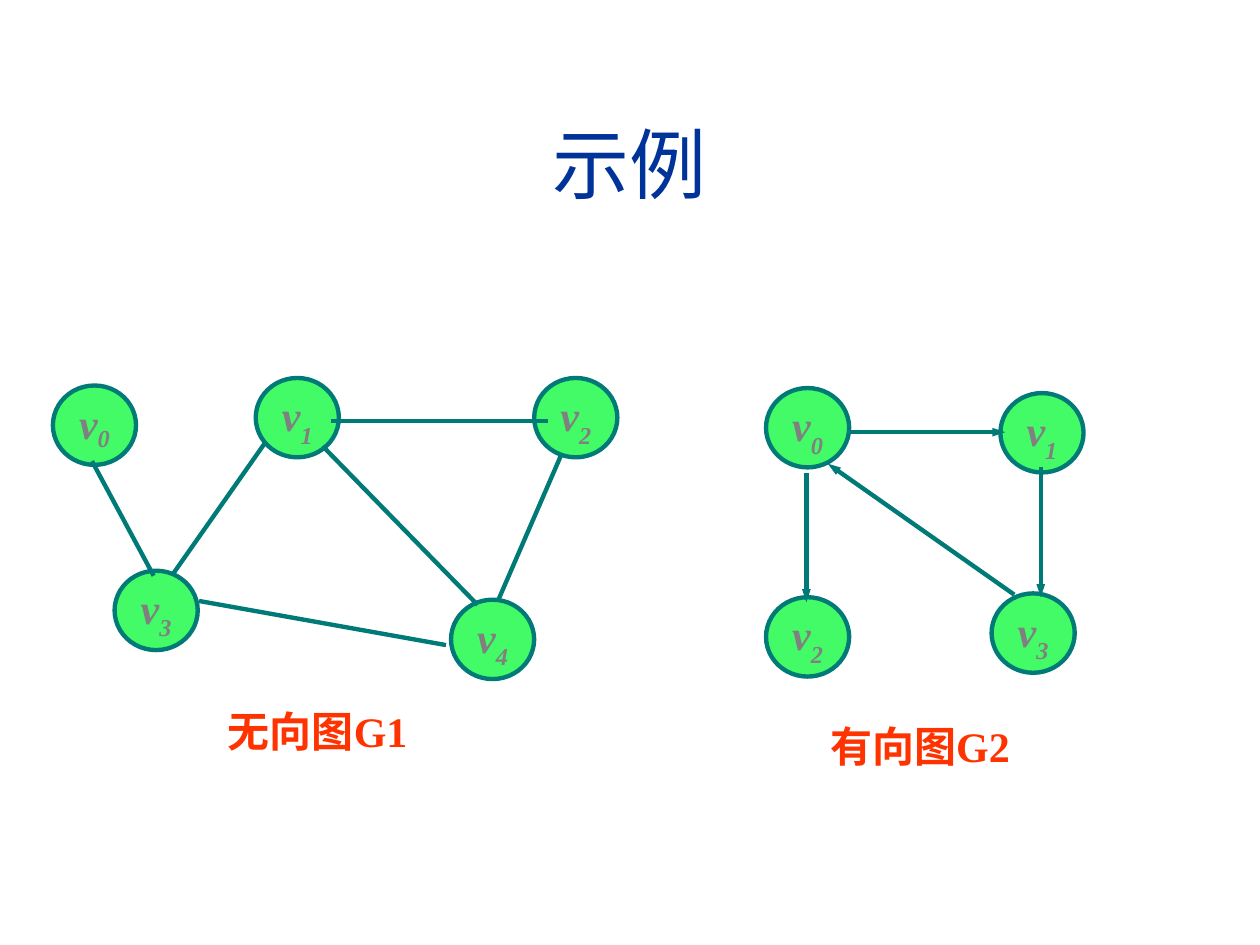
from lxml import etree
from pptx import Presentation
from pptx.dml.color import RGBColor
from pptx.enum import shapes, text
from pptx.oxml import ns
from pptx.util import Inches, Pt

NAVY = RGBColor(0x00, 0x33, 0x99)
GREEN = RGBColor(0x43, 0xFB, 0x66)
TEAL = RGBColor(0x00, 0x7A, 0x77)
GRAY = RGBColor(0x80, 0x80, 0x80)
RED = RGBColor(0xFF, 0x33, 0x00)
NODE_W, NODE_H = 0.66, 0.63


def add_run(p, content, size, color, font="Times New Roman", bold=True, italic=False):
    """Add one formatted run to a paragraph and return it."""
    r = p.add_run()
    r.text = content
    f = r.font
    f.size, f.name, f.bold, f.italic = Pt(size), font, bold, italic
    f.color.rgb = color
    return r


def add_title(s, content, x, y, w, h):
    """Place and format the title placeholder."""
    sp = s.shapes.title
    sp.left, sp.top, sp.width, sp.height = map(Inches, (x, y, w, h))
    tf = sp.text_frame
    tf.vertical_anchor = text.MSO_ANCHOR.MIDDLE
    p = tf.paragraphs[0]
    p.alignment = text.PP_ALIGN.CENTER
    add_run(p, content, 44, NAVY, "Arial", bold=False)


def add_node(grp, index, x, y, drop):
    """Draw a vertex circle labelled v with a subscript index."""
    sp = grp.shapes.add_shape(shapes.MSO_SHAPE.OVAL, Inches(x), Inches(y),
                              Inches(NODE_W), Inches(NODE_H))
    sp.shadow.inherit = False
    sp.fill.solid()
    sp.fill.fore_color.rgb = GREEN
    sp.line.color.rgb = TEAL
    sp.line.width = Pt(2.5)
    tf = sp.text_frame
    tf.margin_left = tf.margin_top = tf.margin_right = tf.margin_bottom = 0
    tf.vertical_anchor = text.MSO_ANCHOR.TOP
    p = tf.paragraphs[0]
    p.alignment = text.PP_ALIGN.CENTER
    add_run(p, "v", 24, GRAY, italic=True)
    r = add_run(p, str(index), 24, GRAY, italic=True)
    r.font._element.set("baseline", str(-1000 * drop))


def add_edge(grp, x1, y1, x2, y2, directed):
    """Draw an edge, with an arrowhead at its end when directed."""
    c = grp.shapes.add_connector(shapes.MSO_CONNECTOR.STRAIGHT,
                                 *map(Inches, (x1, y1, x2, y2)))
    c.line.color.rgb = TEAL
    c.line.width = Pt(2.5)
    if directed:
        etree.SubElement(c.line._get_or_add_ln(), ns.qn("a:tailEnd"),
                         type="triangle", w="sm", len="med")
    etree.SubElement(c._element.spPr, ns.qn("a:effectLst"))


def add_caption(grp, content, x, y):
    """Write the caption below a graph."""
    sp = grp.shapes.add_textbox(Inches(x), Inches(y), Inches(1.7), Inches(0.5))
    tf = sp.text_frame
    tf.word_wrap = False
    tf.auto_size = text.MSO_AUTO_SIZE.SHAPE_TO_FIT_TEXT
    add_run(tf.paragraphs[0], content, 24, RED)


def add_graph(s, x, y, nodes, edges, caption, caption_at, directed=False, drops=None):
    """Draw a graph as a group, with its parts relative to (x, y)."""
    grp = s.shapes.add_group_shape()
    for i, (nx, ny) in enumerate(nodes):
        add_node(grp, i, x + nx, y + ny, (drops or {}).get(i, 30))
    for x1, y1, x2, y2 in edges:
        add_edge(grp, x + x1, y + y1, x + x2, y + y2, directed)
    add_caption(grp, caption, x + caption_at[0], y + caption_at[1])


def main():
    """Build the slide and save it."""
    prs = Presentation()
    prs.slide_width, prs.slide_height = Inches(10), Inches(7.5)
    s = prs.slides.add_slide(prs.slide_layouts[5])
    add_title(s, "示例", 0.33, 0.67, 9.34, 1.25)
    add_graph(
        s, 0.42, 3,
        nodes=[(0, 0.06), (1.61, 0), (3.82, 0), (0.49, 1.53), (3.16, 1.76)],
        edges=[(0.31, 0.66, 0.8, 1.57), (1.68, 0.52, 0.95, 1.56),
               (2.14, 0.54, 3.37, 1.8), (1.16, 1.77, 3.12, 2.12),
               (2.21, 0.34, 3.93, 0.34), (4.03, 0.62, 3.54, 1.75)],
        caption="无向图G1", caption_at=(1.29, 2.55), drops={0: 20})
    add_graph(
        s, 6.08, 3.08,
        nodes=[(0, 0), (1.86, 0.04), (0, 1.66), (1.79, 1.63)],
        edges=[(0.67, 0.35, 1.9, 0.35), (0.32, 0.67, 0.32, 1.7),
               (1.97, 1.64, 0.49, 0.6), (2.18, 0.63, 2.18, 1.66)],
        caption="有向图G2", caption_at=(0.41, 2.59), directed=True)
    prs.save("out.pptx")


if __name__ == "__main__":
    main()
